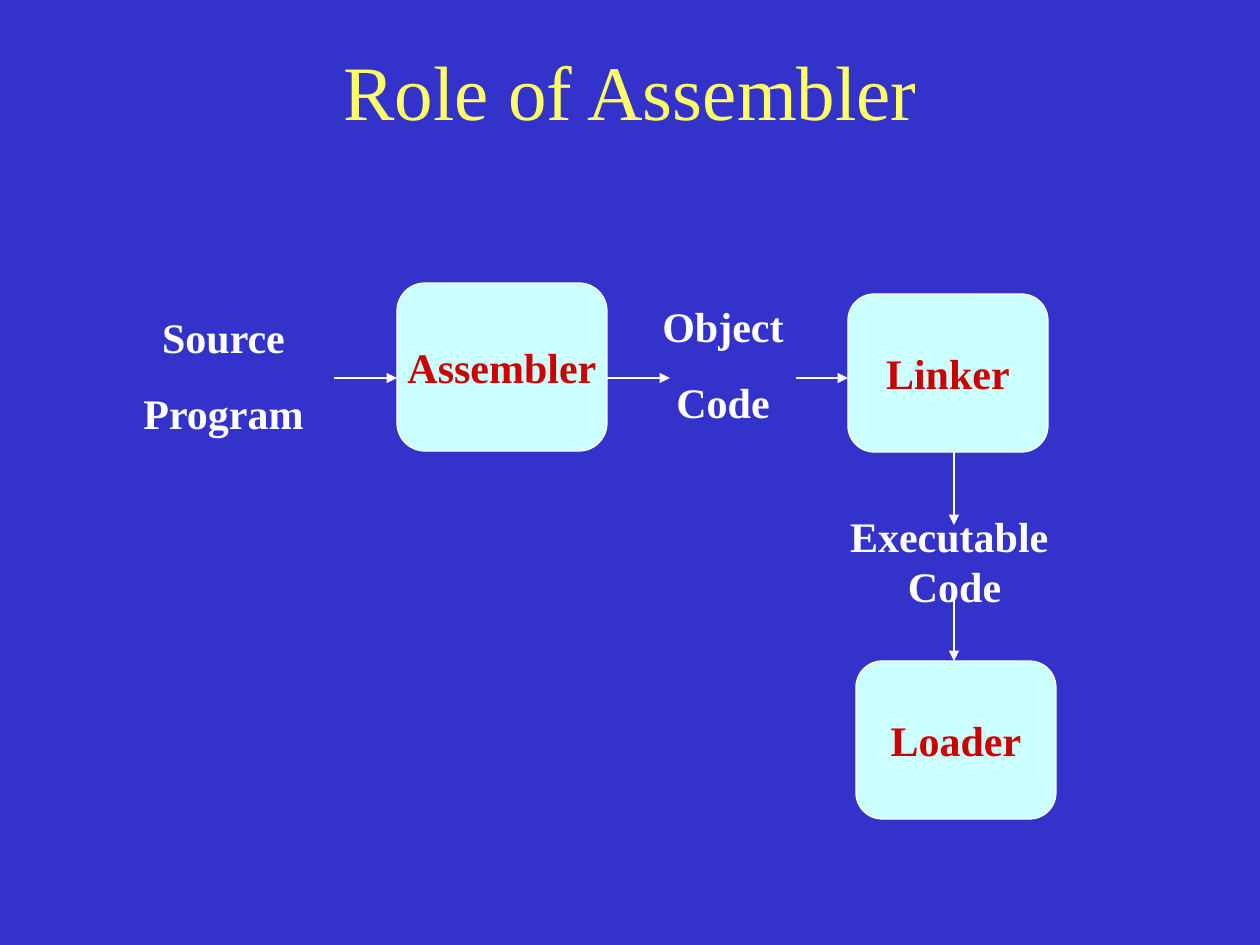
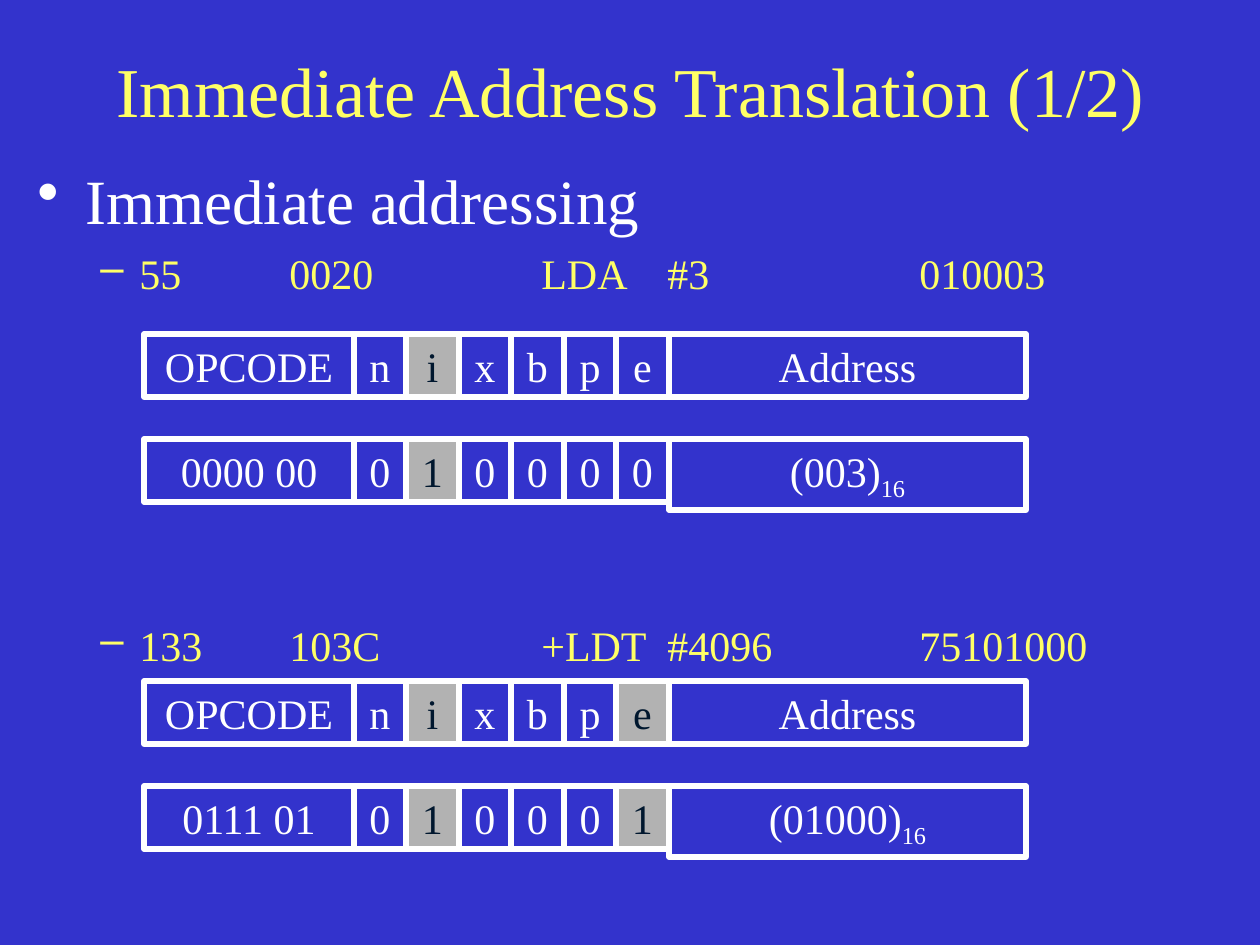
from dataclasses import dataclass

from lxml import etree
from pptx import Presentation
from pptx.dml.color import RGBColor
from pptx.enum.shapes import MSO_CONNECTOR, MSO_SHAPE
from pptx.enum.text import MSO_ANCHOR, MSO_AUTO_SIZE, PP_ALIGN
from pptx.oxml.ns import qn
from pptx.util import Pt

LEFT, CENTER = PP_ALIGN.LEFT, PP_ALIGN.CENTER
TOP, MIDDLE = MSO_ANCHOR.TOP, MSO_ANCHOR.MIDDLE
NO_AUTOFIT = MSO_AUTO_SIZE.NONE
RECTANGLE = MSO_SHAPE.RECTANGLE
PROCESS = MSO_SHAPE.FLOWCHART_ALTERNATE_PROCESS
STRAIGHT = MSO_CONNECTOR.STRAIGHT
TITLE_ONLY = 5
PX_PER_INCH = 126


@dataclass(frozen=True)
class Theme:
    font: str = "Times New Roman"
    background: str = "3333CC"
    accent: str = "FFFF66"
    text: str = "FFFFFF"
    process_fill: str = "CCFFFF"
    process_text: str = "CC0000"
    flag_fill: str = "B2B2B2"
    flag_text: str = "00172E"
    title_size: int = 44
    long_title_size: int = 40
    heading_size: int = 36
    text_size: int = 24
    thin: float = 0.75
    thick: float = 3


THEME = Theme()


def px(length):
    return round(length * 914400 / PX_PER_INCH)


def rgb(colour):
    return RGBColor.from_string(colour)


def add_run(paragraph, text, size, colour, bold):
    run = paragraph.add_run()
    run.text = text
    run.font.name = THEME.font
    run.font.size = Pt(size)
    run.font.bold = bold
    run.font.color.rgb = rgb(colour)
    return run


def write(frame, text, size=THEME.text_size, colour=THEME.text, bold=False,
          align=CENTER, anchor=TOP, wrap=True, gap=0, subscript=""):
    """Fill a frame with one paragraph per line, gap points apart."""
    frame.word_wrap = wrap
    frame.auto_size = NO_AUTOFIT
    frame.vertical_anchor = anchor
    for index, line in enumerate(text.split("\n")):
        paragraph = frame.add_paragraph() if index else frame.paragraphs[0]
        paragraph.alignment = align
        if index:
            paragraph.space_before = Pt(gap)
        add_run(paragraph, line, size, colour, bold)
    if subscript:
        lowered = add_run(paragraph, subscript, size, colour, bold)
        lowered.font._element.set("baseline", "-25000")


def add_titled_slide(prs, text, size=THEME.title_size):
    slide = prs.slides.add_slide(prs.slide_layouts[TITLE_ONLY])
    title = slide.shapes.title
    title.left, title.top, title.width, title.height = map(px, (95, 32, 1071, 116))
    write(title.text_frame, text, size=size, colour=THEME.accent, anchor=MIDDLE)
    return slide


def add_label(slide, box, text, **style):
    label = slide.shapes.add_textbox(*map(px, box))
    write(label.text_frame, text, **style)


def add_box(slide, kind, box, text, fill=None, line_width=THEME.thin, **style):
    shape = slide.shapes.add_shape(kind, *map(px, box))
    shape.shadow.inherit = False
    if fill:
        shape.fill.solid()
        shape.fill.fore_color.rgb = rgb(fill)
    else:
        shape.fill.background()
    shape.line.color.rgb = rgb(THEME.text)
    shape.line.width = Pt(line_width)
    write(shape.text_frame, text, **style)


def add_process(slide, box, text):
    add_box(slide, PROCESS, box, text, fill=THEME.process_fill,
            colour=THEME.process_text, bold=True, anchor=MIDDLE, wrap=False)


def add_arrow(slide, *ends):
    arrow = slide.shapes.add_connector(STRAIGHT, *map(px, ends))
    arrow.line.color.rgb = rgb(THEME.text)
    arrow.line.width = Pt(THEME.thin)
    properties = arrow._element.spPr
    etree.SubElement(properties.find(qn("a:ln")), qn("a:tailEnd"), type="triangle")
    etree.SubElement(properties, qn("a:effectLst"))


def set_bullet(paragraph, character, margin, hanging, stops=()):
    """Give a paragraph a hanging bullet and left tab stops, all in px."""
    properties = paragraph._p.get_or_add_pPr()
    properties.set("marL", str(px(margin)))
    properties.set("indent", str(-px(hanging)))
    etree.SubElement(properties, qn("a:buChar"), char=character)
    if stops:
        tabs = etree.SubElement(properties, qn("a:tabLst"))
        for stop in stops:
            etree.SubElement(tabs, qn("a:tab"), pos=str(px(stop)), algn="l")


def add_instructions(slide, heading, instructions):
    """Write a bulleted heading and (space before, columns) rows below it."""
    frame = slide.shapes.add_textbox(*map(px, (25, 155, 1171, 790))).text_frame
    write(frame, heading, size=THEME.heading_size, align=LEFT)
    set_bullet(frame.paragraphs[0], "•", 48, 48)
    stops = [inch * PX_PER_INCH for inch in (2, 4, 5, 7)]
    for space, columns in instructions:
        row = frame.add_paragraph()
        row.alignment = LEFT
        row.space_before = Pt(space)
        set_bullet(row, "–", 102, 39, stops)
        add_run(row, "\t".join(columns), THEME.text_size, THEME.accent, False)


def add_format_row(slide, top, opcode, flags, address, base="", marked=""):
    """Draw opcode, six flag cells and address; marked names the grey flags."""
    edges = [144] + [354 + 105 * i // 2 for i in range(7)] + [1026]
    names = ["", *"nixbpe", ""]
    texts = [opcode, *flags, address]
    for left, right, name, text in zip(edges, edges[1:], names, texts):
        is_address = right == edges[-1]
        is_marked = bool(name) and name in marked
        add_box(slide, RECTANGLE,
                (left, top, right - left, 71 if is_address and base else 63), text,
                fill=THEME.flag_fill if is_marked else None,
                colour=THEME.flag_text if is_marked else THEME.text,
                line_width=THEME.thick, subscript=base if is_address else "")


def add_instruction_format(slide, top, opcode, bits, address, marked):
    add_format_row(slide, top, "OPCODE", "nixbpe", "Address", marked=marked)
    add_format_row(slide, top + 105, opcode, bits, address, base="16", marked=marked)


def build_assembler_role(prs):
    slide = add_titled_slide(prs, "Role of Assembler")
    add_label(slide, (113, 305, 221, 140), "Source\nProgram", bold=True, gap=15)
    add_label(slide, (639, 294, 168, 140), "Object\nCode", bold=True, gap=15)
    add_label(slide, (838, 504, 233, 113), "Executable \nCode", bold=True, wrap=False)
    add_process(slide, (397, 283, 210, 168), "Assembler")
    add_process(slide, (848, 294, 200, 158), "Linker")
    add_process(slide, (856, 661, 200, 158), "Loader")
    for start, end in ((334, 397), (607, 670), (796, 848)):
        add_arrow(slide, start, 378, end, 378)
    for start, end in ((452, 525), (598, 661)):
        add_arrow(slide, 954, start, 954, end)


def build_immediate_addressing(prs):
    slide = add_titled_slide(prs, "Immediate Address Translation (1/2)",
                             size=THEME.long_title_size)
    add_instructions(slide, "Immediate addressing", [
        (6, ("55", "0020", "LDA", "#3", "010003")),
        (184, ("133", "103C", "+LDT", "#4096", "75101000")),
    ])
    add_instruction_format(slide, 334, "0000 00", "010000", "(003)", marked="i")
    add_instruction_format(slide, 681, "0111 01", "010001", "(01000)", marked="ie")


def main():
    prs = Presentation()
    prs.slide_width, prs.slide_height = px(1260), px(945)
    backdrop = prs.slide_master.background.fill
    backdrop.solid()
    backdrop.fore_color.rgb = rgb(THEME.background)
    build_assembler_role(prs)
    build_immediate_addressing(prs)
    prs.save("out.pptx")


if __name__ == "__main__":
    main()
